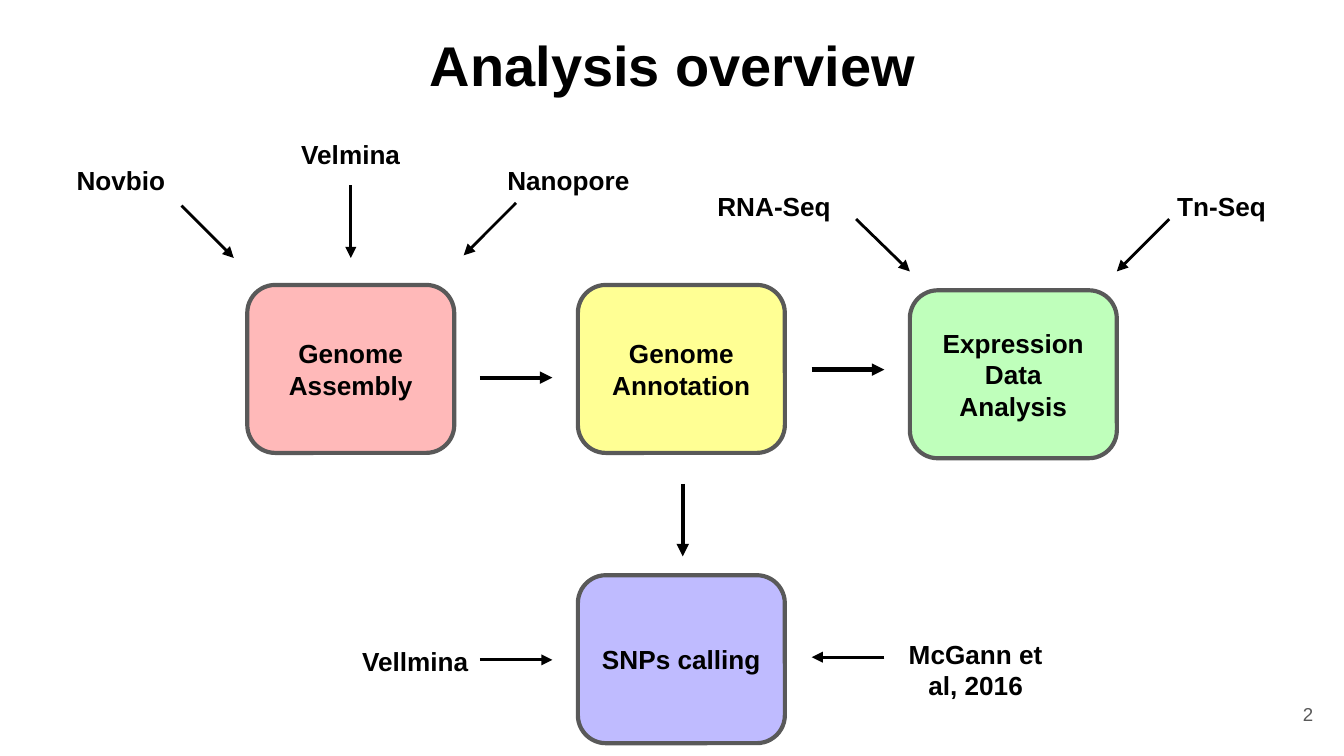
from dataclasses import dataclass

from lxml.etree import SubElement
from pptx import Presentation
from pptx.dml.color import RGBColor
from pptx.enum.shapes import MSO_CONNECTOR as Connector, MSO_SHAPE as Preset
from pptx.enum.text import MSO_ANCHOR as Anchor, MSO_AUTO_SIZE as AutoSize, PP_ALIGN as Align
from pptx.oxml.ns import qn
from pptx.util import Inches, Pt

COLORS = {
    "white": "FFFFFF",
    "black": "000000",
    "gray": "595959",
    "red": "FF0505",
    "yellow": "FFFF00",
    "green": "1AFF0C",
    "blue": "1C0CFF",
}
FONT = "Arial"
PAGE_WIDTH = Inches(10)
PAGE_HEIGHT = PAGE_WIDTH * 9 // 16
STEP_SIZE = (1.54, 1.25)
LABEL_SIZE = (1.36, 0.39)
FLOW, INPUT = 2.25, 1.5


@dataclass(frozen=True)
class Step:
    text: str
    left: float
    top: float
    color: str
    opacity: int


@dataclass(frozen=True)
class Label:
    text: str
    left: float
    top: float


@dataclass(frozen=True)
class Arrow:
    start: tuple[float, float]
    end: tuple[float, float]
    weight: float


STEPS = [
    Step("Genome Assembly", 1.84, 2.12, "red", 28),
    Step("Genome Annotation", 4.3, 2.12, "yellow", 42),
    Step("Expression Data Analysis", 6.77, 2.16, "green", 28),
    Step("SNPs calling", 4.3, 4.28, "blue", 28),
]
LABELS = [
    Label("Novbio", 0.22, 1.12),
    Label("Velmina", 1.93, 0.93),
    Label("Nanopore", 3.55, 1.12),
    Label("RNA-Seq", 5.08, 1.32),
    Label("Tn-Seq", 8.41, 1.32),
    Label("Vellmina", 2.41, 4.7),
    Label("McGann et al, 2016", 6.58, 4.65),
]
ARROWS = [
    Arrow((3.57, 2.81), (4.11, 2.81), FLOW),
    Arrow((6.04, 2.75), (6.58, 2.75), FLOW),
    Arrow((5.08, 3.6), (5.08, 4.14), FLOW),
    Arrow((1.35, 1.53), (1.74, 1.92), INPUT),
    Arrow((2.61, 1.38), (2.61, 1.92), INPUT),
    Arrow((3.84, 1.51), (3.45, 1.9), INPUT),
    Arrow((6.37, 1.63), (6.77, 2.02), INPUT),
    Arrow((8.7, 1.63), (8.31, 2.02), INPUT),
    Arrow((3.57, 4.91), (4.11, 4.91), INPUT),
    Arrow((6.58, 4.89), (6.04, 4.89), INPUT),
]


def rgb(name: str) -> RGBColor:
    return RGBColor.from_string(COLORS[name])


def write(shape, text: str, size: float = 14, color: str = "black", bold: bool = True,
          align=Align.CENTER, anchor=Anchor.TOP) -> None:
    frame = shape.text_frame
    frame.text = text
    frame.word_wrap = True
    frame.auto_size = AutoSize.NONE
    frame.vertical_anchor = anchor
    frame.margin_left = frame.margin_right = Inches(0.1)
    frame.margin_top = frame.margin_bottom = Inches(0.1)
    para = frame.paragraphs[0]
    para.alignment = align
    para.line_spacing = 1.0
    para.space_before = Pt(0)
    font = para.runs[0].font
    font.name = FONT
    font.size = Pt(size)
    font.bold = bold
    font.color.rgb = rgb(color)


def draw_title(page, text: str) -> None:
    title = page.shapes.title
    title.left, title.top = Inches(1.03), Inches(0.13)
    title.width, title.height = Inches(7.95), Inches(0.8)
    write(title, text, size=30)


def draw_step(page, step: Step) -> None:
    box = page.shapes.add_shape(Preset.ROUNDED_RECTANGLE, Inches(step.left), Inches(step.top),
                                *map(Inches, STEP_SIZE))
    box.shadow.inherit = False
    box.fill.solid()
    box.fill.fore_color.rgb = rgb(step.color)
    tint = box.fill._xPr.find(qn("a:solidFill"))[0]
    SubElement(tint, qn("a:alpha"), val=str(step.opacity * 1000))
    box.line.color.rgb = rgb("gray")
    box.line.width = Pt(2.25)
    write(box, step.text, anchor=Anchor.MIDDLE)


def draw_label(page, label: Label) -> None:
    box = page.shapes.add_textbox(Inches(label.left), Inches(label.top), *map(Inches, LABEL_SIZE))
    write(box, label.text)


def draw_arrow(page, arrow: Arrow) -> None:
    line = page.shapes.add_connector(Connector.STRAIGHT, *map(Inches, arrow.start + arrow.end))
    line.line.color.rgb = rgb("black")
    line.line.width = Pt(arrow.weight)
    SubElement(line.line._get_or_add_ln(), qn("a:tailEnd"), type="triangle")
    SubElement(line._element.spPr, qn("a:effectLst"))


def draw_page_number(page, number: int) -> None:
    box = page.shapes.add_textbox(Inches(9.27), Inches(5.1), Inches(0.6), Inches(0.43))
    write(box, str(number), size=10, color="gray", bold=False,
          align=Align.RIGHT, anchor=Anchor.MIDDLE)


def main() -> None:
    deck = Presentation()
    deck.slide_width, deck.slide_height = PAGE_WIDTH, PAGE_HEIGHT
    page = deck.slides.add_slide(deck.slide_layouts.get_by_name("Title Only"))
    page.background.fill.solid()
    page.background.fill.fore_color.rgb = rgb("white")
    draw_title(page, "Analysis overview")
    for step in STEPS:
        draw_step(page, step)
    for label in LABELS:
        draw_label(page, label)
    for arrow in ARROWS:
        draw_arrow(page, arrow)
    draw_page_number(page, 2)
    deck.save("out.pptx")


main()
